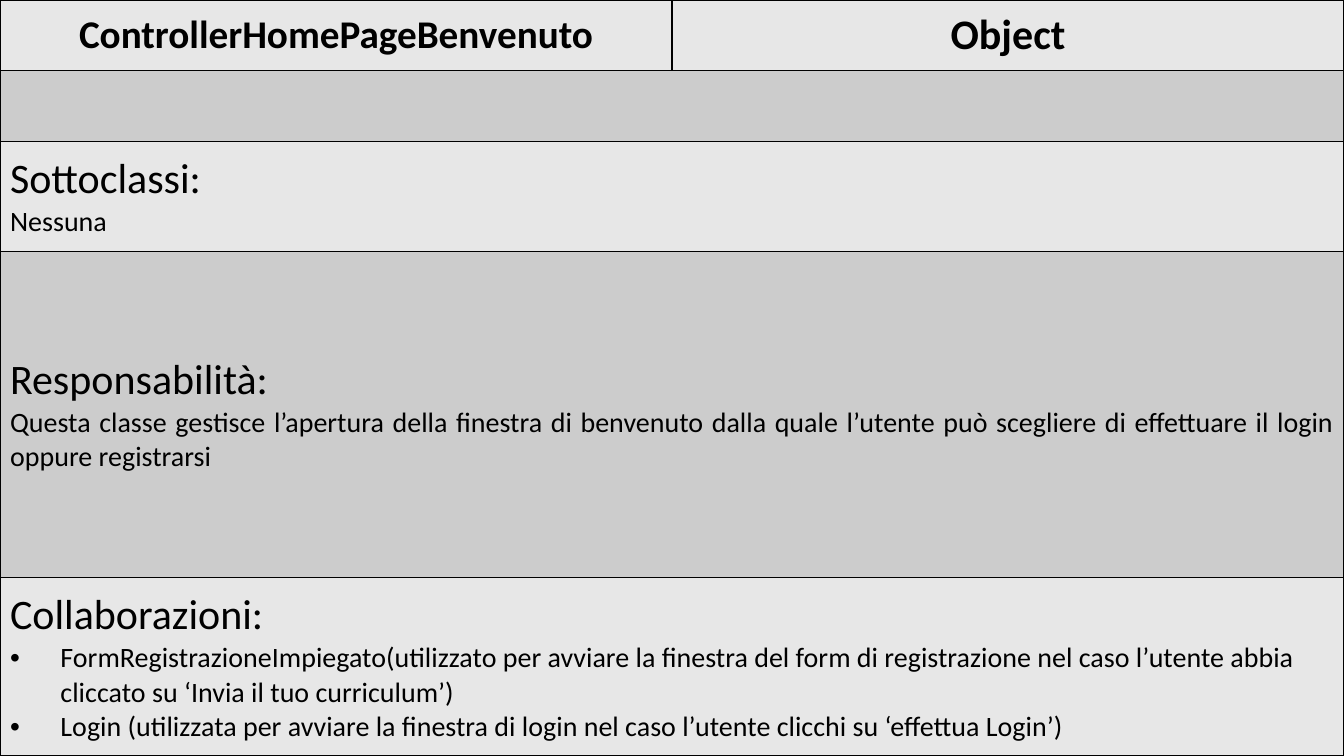
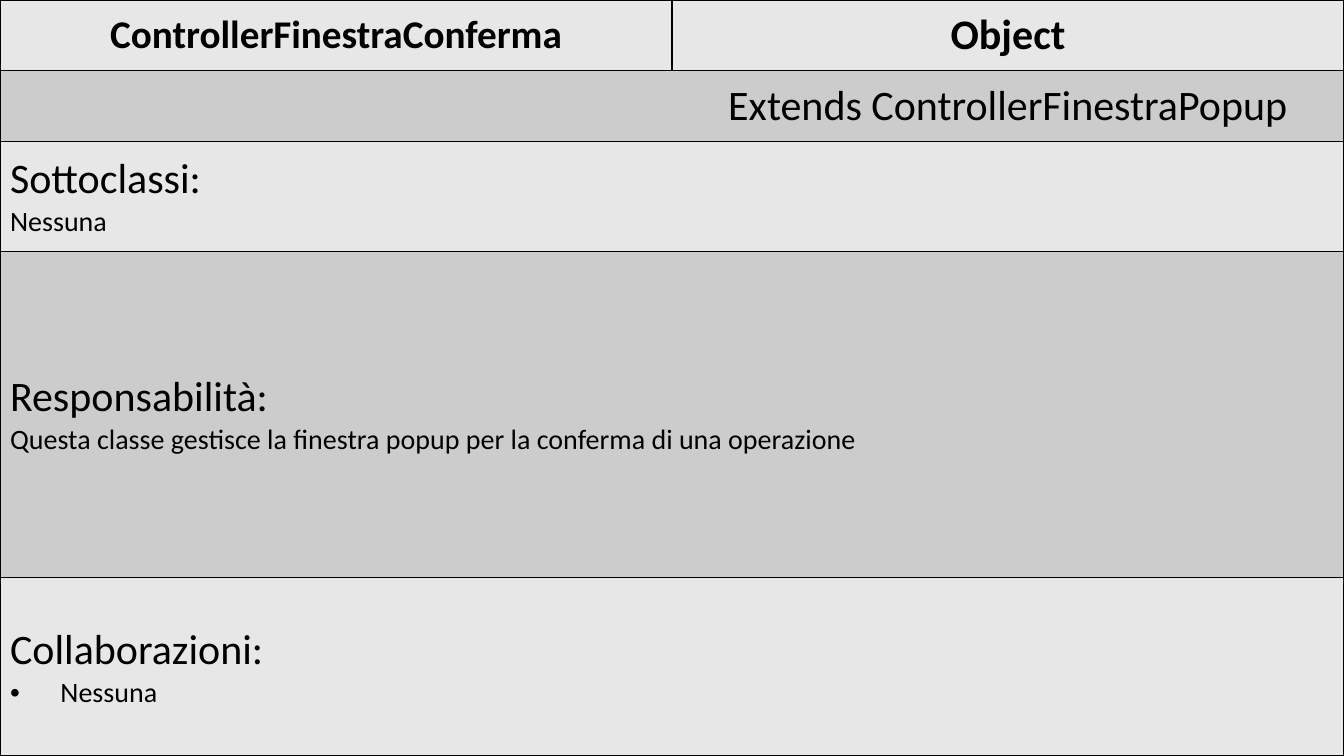
from lxml.etree import SubElement as Sub
from pptx import Presentation as Deck
from pptx.dml.color import RGBColor as Rgb
from pptx.enum.text import MSO_ANCHOR as Anchor, PP_ALIGN as Align
from pptx.oxml import parse_xml as parse
from pptx.oxml.ns import nsdecls, qn
from pptx.util import Cm, Pt

WIDE, HIGH = 33.87, 19.05
ROWS = (1.78, 1.78, 2.77, 8.23, 4.49)
LIGHT, DARK, INK = "E7E7E7", "CCCCCC", "000000"
FONT = "Calibri"
NAME, HEAD, BODY = 28, 30, 20
INDENT = Cm(1.27)

CARDS = (
    {
        "name": "ControllerHomePageBenvenuto",
        "base": "",
        "duty": "Questa classe gestisce l’apertura della finestra di benvenuto "
                "dalla quale l’utente può scegliere di effettuare il login "
                "oppure registrarsi",
        "peers": (
            "FormRegistrazioneImpiegato(utilizzato per avviare la finestra del "
            "form di registrazione nel caso l’utente abbia cliccato su "
            "‘Invia il tuo curriculum’)",
            "Login (utilizzata per avviare la finestra di login nel caso "
            "l’utente clicchi su ‘effettua Login’)",
        ),
    },
    {
        "name": "ControllerFinestraConferma",
        "base": "Extends ControllerFinestraPopup",
        "duty": "Questa classe gestisce la finestra popup per la conferma "
                "di una operazione",
        "peers": ("Nessuna",),
    },
)


def color(code):
    """Turn a hex string into a colour."""
    return Rgb.from_string(code)


def style(para, size, bold=False, align=Align.LEFT):
    """Format a paragraph and its runs."""
    para.alignment = align
    for run in para.runs:
        font = run.font
        font.name, font.size, font.bold = FONT, Pt(size), bold
        font.color.rgb = color(INK)


def bullet(para):
    """Give a paragraph a hanging round bullet."""
    props = para._p.get_or_add_pPr()
    props.set("marL", str(INDENT))
    props.set("indent", str(-INDENT))
    Sub(props, qn("a:buFont")).set("typeface", "Arial")
    Sub(props, qn("a:buChar")).set("char", "•")


def border(cell, hide=""):
    """Draw the cell's four edges, except the one to hide."""
    props = cell._tc.get_or_add_tcPr()
    for place, side in enumerate("LRTB"):
        fill = ("<a:noFill/>" if side == hide else
                f'<a:solidFill><a:srgbClr val="{INK}"/></a:solidFill>')
        props.insert(place, parse(
            f'<a:ln{side} {nsdecls("a")} w="{Pt(1)}">{fill}</a:ln{side}>'))


def label(cell, text, size, bold=False):
    """Write one centred line in a cell."""
    cell.text_frame.text = text
    style(cell.text_frame.paragraphs[0], size, bold, Align.CENTER)


def section(cell, head, lines, align=Align.LEFT, dots=False):
    """Write a heading and its lines in a cell."""
    cell.text_frame.text = "\n".join((head, *lines))
    first, *rest = cell.text_frame.paragraphs
    style(first, HEAD, align=align)
    for para in rest:
        style(para, BODY, align=align)
        if dots:
            bullet(para)


def grid(slide):
    """Add the empty card table that fills the slide."""
    table = slide.shapes.add_table(
        len(ROWS), 2, 0, 0, Cm(WIDE), Cm(HIGH)).table
    table.first_row = table.horz_banding = False
    for col in table.columns:
        col.width = Cm(WIDE / 2)
    for row, high in enumerate(ROWS):
        table.rows[row].height = Cm(high)
        for col, inner in enumerate("RL"):
            cell = table.cell(row, col)
            cell.vertical_anchor = Anchor.MIDDLE
            cell.fill.solid()
            cell.fill.fore_color.rgb = color(DARK if row % 2 else LIGHT)
            border(cell, inner if row == 1 else "")
        if row > 1:
            table.cell(row, 0).merge(table.cell(row, 1))
    return table


def fill(table, card):
    """Write one class card into the table."""
    label(table.cell(0, 0), card["name"], NAME, True)
    label(table.cell(0, 1), "Object", HEAD, True)
    if card["base"]:
        label(table.cell(1, 1), card["base"], HEAD)
    section(table.cell(2, 0), "Sottoclassi:", ("Nessuna",))
    section(table.cell(3, 0), "Responsabilità:", (card["duty"],),
            align=Align.JUSTIFY)
    section(table.cell(4, 0), "Collaborazioni:", card["peers"], dots=True)


def main():
    """Build one slide per class card."""
    deck = Deck()
    deck.slide_width, deck.slide_height = Cm(WIDE), Cm(HIGH)
    for card in CARDS:
        slide = deck.slides.add_slide(deck.slide_layouts[6])
        fill(grid(slide), card)
    deck.save("out.pptx")


main()
